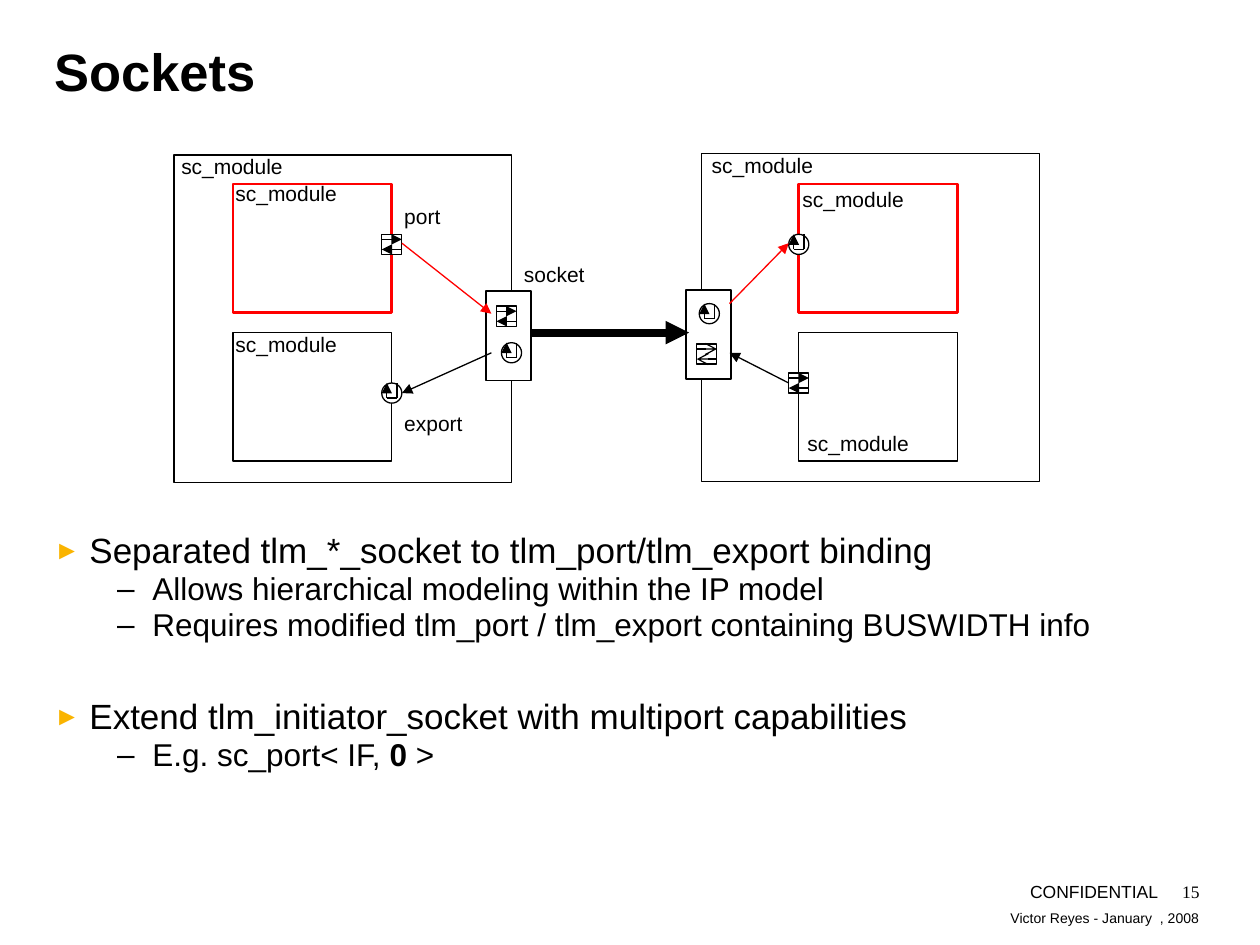
from lxml.etree import SubElement
from pptx import Presentation
from pptx.dml.color import RGBColor
from pptx.enum.shapes import MSO_CONNECTOR, MSO_SHAPE
from pptx.enum.text import MSO_ANCHOR as Anchor, PP_ALIGN as Align
from pptx.oxml.ns import qn
from pptx.util import Inches, Pt

# The slide is a grid of 100 columns by 75 rows
WIDTH, HEIGHT = Inches(10), Inches(7.5)
COLUMN, ROW = WIDTH / 100, HEIGHT / 75
BLACK, WHITE, RED, AMBER = "000000", "FFFFFF", "FF0000", "FAB400"
ICON = 1.6

# Inner modules: column, row, outline colour, outline width
INNER_MODULES = [
    (18.5, 14.6, RED, 1.5), (18.5, 26.4, BLACK, 0.75),
    (63.4, 14.6, RED, 1.5), (63.4, 26.4, BLACK, 0.75),
]
LABELS = [
    ("sc_module", 13.4, 11.7), ("sc_module", 17.7, 13.8),
    ("sc_module", 17.7, 25.8), ("sc_module", 55.5, 11.6),
    ("sc_module", 62.7, 14.3), ("sc_module", 63.1, 33.7),
    ("socket", 40.6, 20.3), ("port", 31.1, 15.7), ("export", 31.1, 32.1),
]
# Bindings between icons and sockets: start, end, colour
BINDINGS = [
    ((31.9, 19.3), (39, 24.9), RED), ((39, 28), (31.9, 31.2), BLACK),
    ((57.9, 24.1), (62.6, 19.3), RED), ((62.6, 30.4), (57.9, 28), BLACK),
]
# Bullets: level, space before, runs of (text, bold)
BULLETS = [
    (0, 0, [("Separated tlm_*_socket to tlm_port/tlm_export binding", False)]),
    (1, 0, [("Allows hierarchical modeling within the IP model", False)]),
    (1, 0, [("Requires modified tlm_port / tlm_export containing BUSWIDTH info", False)]),
    (0, 30.9, [("Extend tlm_initiator_socket with multiport capabilities", False)]),
    (1, 0, [("E.g. sc_port< IF, ", False), ("0 ", True), (">", False)]),
]
# Per level: left margin, mark, mark colour, mark size in percent, text size
LEVELS = [(0.28, "►", AMBER, 75, 20), (0.78, "–", BLACK, 100, 18)]


def color(value):
    return RGBColor.from_string(value)


def set_all(target, values):
    for name, value in values.items():
        setattr(target, name, value)


def place(column, row, columns, rows):
    return [round(length) for length in
            (column * COLUMN, row * ROW, columns * COLUMN, rows * ROW)]


def add_run(paragraph, text, size, bold=False, font="Arial"):
    run = paragraph.add_run()
    run.text = text
    set_all(run.font, {"size": Pt(size), "bold": bold, "name": font})
    run.font.color.rgb = color(BLACK)


def add_frame(slide, area, inset=(0, 0), anchor=Anchor.TOP):
    frame = slide.shapes.add_textbox(*place(*area)).text_frame
    side, edge = Inches(inset[0]), Inches(inset[1])
    set_all(frame, {
        "word_wrap": True, "vertical_anchor": anchor,
        "margin_left": side, "margin_right": side,
        "margin_top": edge, "margin_bottom": edge,
    })
    return frame


def add_text(slide, text, area, size, bold=False, font="Arial",
             align=Align.LEFT, **frame_values):
    paragraph = add_frame(slide, area, **frame_values).paragraphs[0]
    paragraph.alignment = align
    add_run(paragraph, text, size, bold, font)


def add_outline(slide, area, line=BLACK, width=0.75, kind=MSO_SHAPE.RECTANGLE):
    shape = slide.shapes.add_shape(kind, *place(*area))
    shape.shadow.inherit = False
    shape.fill.solid()
    shape.fill.fore_color.rgb = color(WHITE)
    shape.line.color.rgb = color(line)
    shape.line.width = Pt(width)


def add_line(slide, start, end, line=BLACK, width=0.75, head="triangle"):
    ends = place(*start, *end)
    connector = slide.shapes.add_connector(MSO_CONNECTOR.STRAIGHT, *ends)
    connector.line.color.rgb = color(line)
    connector.line.width = Pt(width)
    if head:
        SubElement(connector.line._get_or_add_ln(), qn("a:tailEnd"), type=head)
    SubElement(connector._element.spPr, qn("a:effectLst"))


def add_port(slide, left, top, head="triangle"):
    """A square with one arrow each way."""
    right = left + ICON
    add_outline(slide, (left, top, ICON, ICON))
    add_line(slide, (left, top + 0.4), (right, top + 0.4), head=head)
    add_line(slide, (right, top + 1.2), (left, top + 1.2), head=head)


def add_export(slide, left, top):
    """A circle with a hooked arrow that turns back upwards."""
    near, far, base = left + 0.4, left + 1.2, top + 1.2
    add_outline(slide, (left, top, ICON, ICON), kind=MSO_SHAPE.OVAL)
    add_line(slide, (near, base), (near, top))
    add_line(slide, (near, base), (far, base), head=None)
    add_line(slide, (far, base), (far, top), head=None)


def add_bullet(paragraph, level, before, runs):
    margin, mark, mark_color, percent, size = LEVELS[level]
    properties = paragraph._p.get_or_add_pPr()
    properties.set("marL", str(Inches(margin)))
    properties.set("indent", str(Inches(-0.28)))
    tint = SubElement(properties, qn("a:buClr"))
    SubElement(tint, qn("a:srgbClr"), val=mark_color)
    SubElement(properties, qn("a:buSzPct"), val=str(percent * 1000))
    SubElement(properties, qn("a:buFont"), typeface="Arial")
    SubElement(properties, qn("a:buChar"), char=mark)
    set_all(paragraph, {"level": level, "line_spacing": 0.95,
                        "space_before": Pt(before)})
    for text, bold in runs:
        add_run(paragraph, text, size, bold)


def add_diagram(slide):
    # Outer modules with a socket on the facing edges
    for left, top, socket in ((13.8, 12.3, 38.55), (55.7, 12.2, 54.45)):
        add_outline(slide, (left, top, 26.8, 26))
        add_outline(slide, (socket, top + 10.8, 3.6, 7.1), width=1)
    add_line(slide, (42.1, 26.4), (54.7, 26.4), width=4.5)

    # Inner modules
    for left, top, line, width in INNER_MODULES:
        add_outline(slide, (left, top, 12.6, 10.2), line, width)

    # Ports and exports
    for left, top in ((39.4, 24.3), (30.3, 18.6), (62.6, 29.6)):
        add_port(slide, left, top)
    add_port(slide, 55.3, 27.3, head="arrow")
    for left, top in ((39.8, 27.2), (55.5, 24.1), (30.3, 30.4), (62.6, 18.6)):
        add_export(slide, left, top)

    # Bindings and labels
    for start, end, line in BINDINGS:
        add_line(slide, start, end, line)
    for text, left, top in LABELS:
        add_text(slide, text, (left, top, 11.8, 3), 12, inset=(0.1, 0.05))


def add_body(slide):
    frame = add_frame(slide, (4.3, 42.2, 91.4, 20.5))
    for index, bullet in enumerate(BULLETS):
        paragraph = frame.add_paragraph() if index else frame.paragraphs[0]
        add_bullet(paragraph, *bullet)


def add_footer(slide):
    bottom_right = {"align": Align.RIGHT, "anchor": Anchor.BOTTOM}
    add_text(slide, "Victor Reyes - January  , 2008", (39.6, 71.8, 55.6, 1.7), 8,
             **bottom_right)
    add_text(slide, "CONFIDENTIAL", (71.8, 69.9, 20.1, 1.7), 10, **bottom_right)
    add_text(slide, "15", (91.7, 69.9, 3.5, 1.7), 10, font="Times New Roman",
             align=Align.RIGHT)


def main():
    presentation = Presentation()
    set_all(presentation, {"slide_width": WIDTH, "slide_height": HEIGHT})
    slide = presentation.slides.add_slide(presentation.slide_layouts[6])
    add_text(slide, "Sockets", (4.3, 3.1, 91.4, 10), 30, bold=True)
    add_diagram(slide)
    add_body(slide)
    add_footer(slide)
    presentation.save("out.pptx")


if __name__ == "__main__":
    main()
